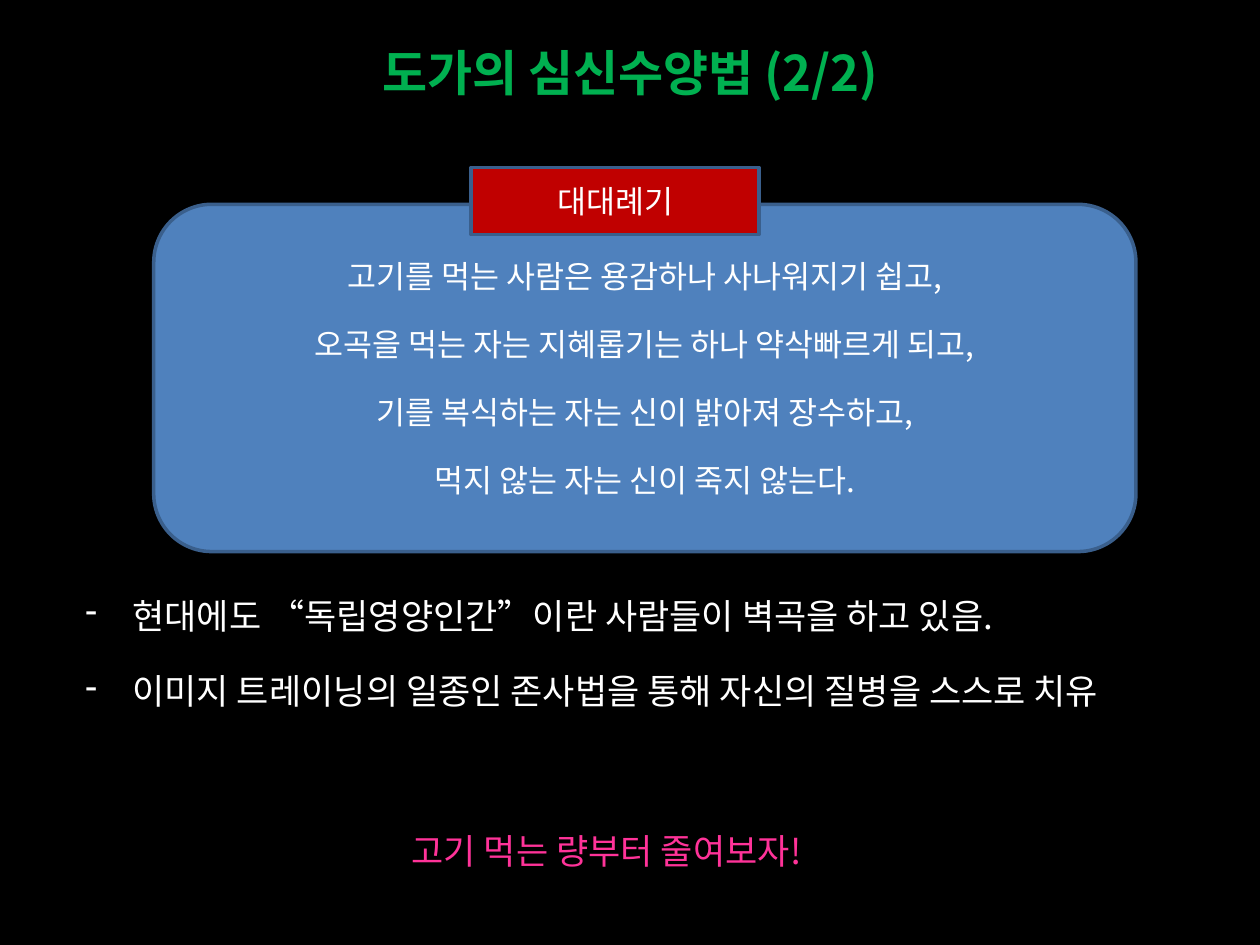
from lxml import etree
from pptx import Presentation
from pptx.dml.color import RGBColor
from pptx.enum.shapes import MSO_SHAPE
from pptx.enum.text import MSO_ANCHOR, MSO_AUTO_SIZE, PP_ALIGN
from pptx.oxml.ns import qn
from pptx.util import Cm, Pt

LEFT, CENTER = PP_ALIGN.LEFT, PP_ALIGN.CENTER
TOP, MIDDLE = MSO_ANCHOR.TOP, MSO_ANCHOR.MIDDLE
RECT, ROUND_RECT = MSO_SHAPE.RECTANGLE, MSO_SHAPE.ROUNDED_RECTANGLE
FONT = "Noto Sans CJK KR"
WHITE, LINE = "FFFFFF", "3A5F8C"

TITLE = "도가의 심신수양법 (2/2)"
SOURCE = "대대례기"
QUOTE = [
    "고기를 먹는 사람은 용감하나 사나워지기 쉽고,",
    "오곡을 먹는 자는 지혜롭기는 하나 약삭빠르게 되고,",
    "기를 복식하는 자는 신이 밝아져 장수하고,",
    "먹지 않는 자는 신이 죽지 않는다.",
]
POINTS = [
    "현대에도 “독립영양인간”이란 사람들이 벽곡을 하고 있음.",
    "이미지 트레이닝의 일종인 존사법을 통해 자신의 질병을 스스로 치유",
]
CLOSING = "고기 먹는 량부터 줄여보자!"


def rgb(value):
    return RGBColor.from_string(value)


def add_dash(p, indent):
    """Give the paragraph a dash bullet with a hanging indent."""
    pPr = p._p.get_or_add_pPr()
    pPr.set("marL", str(indent))
    pPr.set("indent", str(-indent))
    etree.SubElement(pPr, qn("a:buFontTx"))
    etree.SubElement(pPr, qn("a:buChar"), char="-")


def write(sp, lines, size=18, color=WHITE, bold=False, align=CENTER,
          anchor=MIDDLE, gap=0, wrap=True, dash=False):
    tf = sp.text_frame
    tf.auto_size = MSO_AUTO_SIZE.NONE
    tf.word_wrap = wrap
    tf.vertical_anchor = anchor
    for i, line in enumerate(lines):
        p = tf.paragraphs[0] if i == 0 else tf.add_paragraph()
        p.alignment = align
        p.space_before = Pt(gap if i else 0)
        if dash:
            add_dash(p, Cm(0.95))
        r = p.add_run()
        r.text = line
        r.font.size, r.font.bold, r.font.name = Pt(size), bold, FONT
        r.font.color.rgb = rgb(color)
        etree.SubElement(r._r.get_or_add_rPr(), qn("a:ea"), typeface=FONT)


def add_box(slide, kind, box, fill):
    sp = slide.shapes.add_shape(kind, *map(Cm, box))
    sp.shadow.inherit = False
    sp.fill.solid()
    sp.fill.fore_color.rgb = rgb(fill)
    sp.line.color.rgb = rgb(LINE)
    sp.line.width = Pt(2)
    return sp


prs = Presentation()
prs.slide_width, prs.slide_height = Cm(25.4), Cm(19.05)
slide = prs.slides.add_slide(prs.slide_layouts[5])
slide.background.fill.solid()
slide.background.fill.fore_color.rgb = rgb("000000")

title = slide.shapes.title
title.left, title.top, title.width, title.height = map(Cm, (0.7, 0.73, 24, 2.65))
write(title, [TITLE], size=28, color="00B050", bold=True, anchor=TOP)

closing = slide.shapes.add_textbox(*map(Cm, (8.05, 16.6, 9.3, 1.11)))
write(closing, [CLOSING], size=20, color="FF3399", align=LEFT, anchor=TOP, wrap=False)

quote = add_box(slide, ROUND_RECT, (3.1, 4.12, 19.8, 7), "4F81BD")
write(quote, QUOTE, gap=17.3)

source = add_box(slide, RECT, (9.5, 3.38, 5.8, 1.35), "C00000")
write(source, [SOURCE])

points = slide.shapes.add_textbox(*map(Cm, (1.47, 11.86, 23.4, 4.52)))
write(points, POINTS, size=20, align=LEFT, anchor=TOP, gap=19, wrap=False, dash=True)

prs.save("out.pptx")
